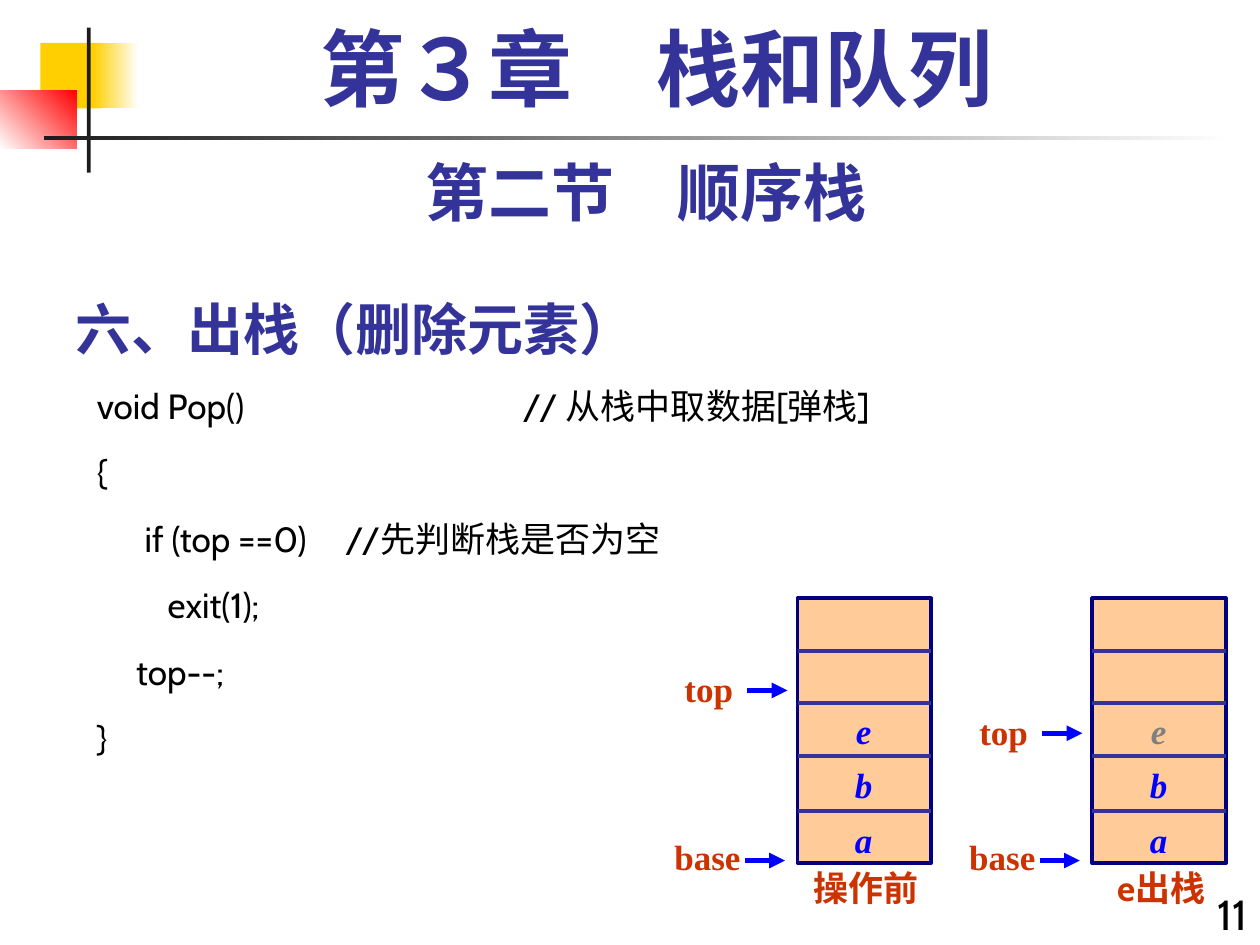
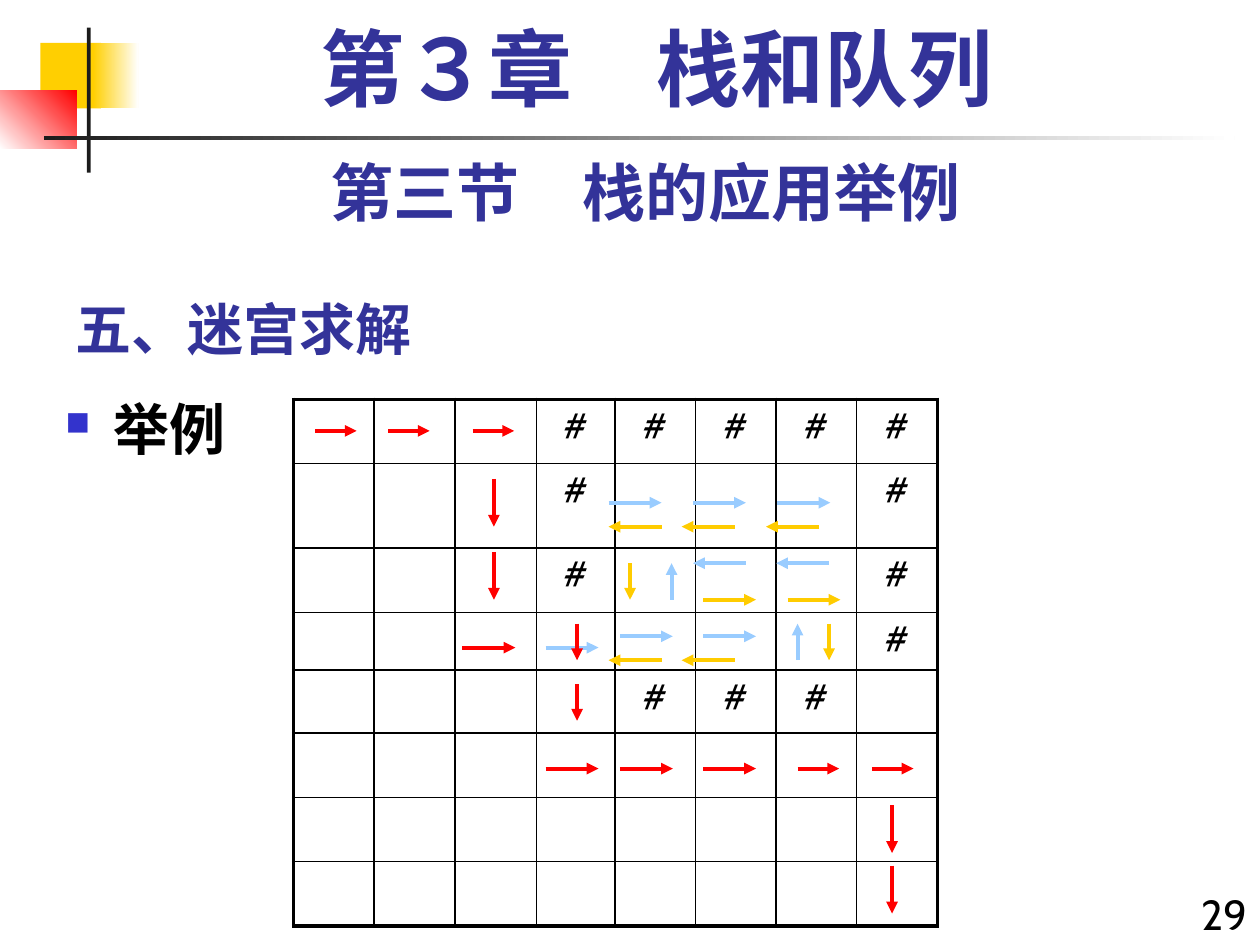
from itertools import accumulate
from lxml import etree
from pptx import Presentation, util as u
from pptx.dml.color import RGBColor
from pptx.enum import shapes, text
from pptx.oxml.ns import qn

HUES = {
    "ink": "000000", "blue": "333399", "bright": "0000FF", "navy": "000080",
    "rust": "CC3300", "gray": "808080", "peach": "FFCC99", "red": "FF0000",
    "sky": "99CCFF", "gold": "FFCC00", "sun": "FFCF01", "dark": "1C1C1C",
    "white": "FFFFFF", "mark": "3333CC",
}
HAN, CABIN, TIMES = "Noto Sans CJK SC", "Cabin", "Times New Roman"
LOOKS = {
    "chapter": ("blue", {"size": u.Pt(48), "name": TIMES, "bold": True}),
    "section": ("blue", {"size": u.Pt(36), "name": CABIN, "bold": True}),
    "head": ("blue", {"size": u.Pt(32), "name": HAN, "bold": True}),
    "point": ("ink", {"size": u.Pt(32), "name": HAN, "bold": True}),
    "page": ("ink", {"size": u.Pt(24), "name": CABIN}),
    "code": ("ink", {"size": u.Pt(20), "name": CABIN}),
    "label": ("rust", {"size": u.Pt(20), "name": TIMES, "bold": True}),
    "state": ("rust", {"size": u.Pt(20), "name": CABIN, "bold": True}),
    "item": ("bright", {"size": u.Pt(20), "name": TIMES, "bold": True, "italic": True}),
}
CENTER, RIGHT = text.PP_ALIGN.CENTER, text.PP_ALIGN.RIGHT

CHAPTER = "第３章\u3000栈和队列"
BANDS = [
    ((0.32, 0.34, 0.48, 0.52), ["sun"], 0),
    ((0.74, 0.34, 0.36, 0.52), ["sun", "white"], 0),
    ((0, 0.72, 0.61, 0.46), ["white", "red"], 45),
    ((0.69, 0.22, 0.03, 1.15), ["dark"], 0),
    ((0.35, 1.08, 9.45, 0.03), ["dark", "white"], 0),
]
CODE = [
    ("void Pop()\t// 从栈中取数据[弹栈]", [3.38]),
    ("{", []),
    ("\tif (top ==0)\t//先判断栈是否为空", [0.38, 1.97]),
    ("         exit(1);", []),
    ("     top--;", []),
    ("}", []),
]
STACKS = [
    (6.33, 5.48, "操作前", "bright"),
    (8.67, 5.82, "e出栈", "gray"),
]
ITEMS = ["e", "b", "a"]
SHELVES = [5.17, 5.58, 6, 6.44]

MAZE = [
    "...#####",
    "...#...#",
    "...#...#",
    ".......#",
    "....###.",
    "........",
    "........",
    "........",
]
WIDTHS = [0.64, 0.64, 0.65, 0.62, 0.64, 0.64, 0.64, 0.64]
HEIGHTS = [0.51, 0.67, 0.51, 0.46, 0.5, 0.51, 0.51, 0.51]
MOVES = [
    ("sky", 0.42, 0, [(4.33, 5.14), (4.92, 5.05), (5.58, 5.05),
                      (4.83, 3.99), (5.5, 3.99), (6.17, 3.99)]),
    ("sky", -0.42, 0, [(6.58, 4.47), (5.92, 4.47)]),
    ("sky", 0, -0.29, [(6.33, 5.24), (5.33, 4.76)]),
    ("gold", -0.42, 0, [(6.5, 4.18), (5.83, 4.18), (5.25, 4.18),
                        (5.83, 5.24), (5.25, 5.24)]),
    ("gold", 0, 0.29, [(5, 4.47), (6.58, 4.95)]),
    ("gold", 0.42, 0, [(5.58, 4.76), (6.25, 4.76)]),
    ("red", 0.33, 0, [(2.5, 3.42), (3.08, 3.42), (3.75, 3.42),
                      (6.33, 6.1), (6.92, 6.1)]),
    ("red", 0.42, 0, [(3.67, 5.14), (4.33, 6.1), (4.92, 6.1), (5.58, 6.1)]),
    ("red", 0, 0.38, [(3.92, 3.8), (3.92, 4.38), (7.08, 6.39), (7.08, 6.87)]),
    ("red", 0, 0.29, [(4.58, 4.95), (4.58, 5.43)]),
]


def hue(name):
    return RGBColor.from_string(HUES[name])


def inch(values):
    return [u.Inches(v) for v in values]


def sub(node, tag, **attrs):
    return etree.SubElement(node, qn(tag), attrs)


def style(run, look, color=None):
    base, form = LOOKS[look]
    run.font.color.rgb = hue(color or base)
    for key, value in form.items():
        setattr(run.font, key, value)
    sub(run._r.get_or_add_rPr(), "a:ea", typeface=HAN)


def write(slide, box, lines, look, first=None, wrap=True, anchor=None, **form):
    frame = slide.shapes.add_textbox(*inch(box)).text_frame
    frame.word_wrap = wrap
    if anchor:
        frame.vertical_anchor = anchor
    for n, line in enumerate(lines):
        para = frame.paragraphs[0] if n == 0 else frame.add_paragraph()
        for key, value in form.items():
            if n or key != "space_before":
                setattr(para, key, value)
        run = para.add_run()
        run.text = line
        style(run, look, first if n == 0 else None)
    return frame


def rect(slide, box, fills, angle=0, edge=None):
    shape = slide.shapes.add_shape(shapes.MSO_SHAPE.RECTANGLE, *inch(box))
    shape.shadow.inherit = False
    if len(fills) > 1:
        shape.fill.gradient()
        shape.fill.gradient_angle = angle
        for stop, name in zip(shape.fill.gradient_stops, fills):
            stop.color.rgb = hue(name)
    else:
        shape.fill.solid()
        shape.fill.fore_color.rgb = hue(fills[0])
    if edge:
        shape.line.color.rgb = hue(edge)
        shape.line.width = u.Pt(2.25)
    else:
        shape.line.fill.background()


def draw(slide, ends, color, width=2.25, arrow=True):
    line = slide.shapes.add_connector(shapes.MSO_CONNECTOR.STRAIGHT, *inch(ends))
    line.line.color.rgb = hue(color)
    line.line.width = u.Pt(width)
    if arrow:
        sub(line.line._get_or_add_ln(), "a:tailEnd", type="triangle")
    sub(line._element.spPr, "a:effectLst")


def start(deck, section, head, page):
    slide = deck.slides.add_slide(deck.slide_layouts[6])
    for box, fills, angle in BANDS:
        rect(slide, box, fills, angle)
    write(slide, (0.67, 0.17, 9.08, 0.83), [CHAPTER], "chapter",
          alignment=CENTER, line_spacing=0.9)
    write(slide, (0.5, 1.17, 9.25, 0.7), [section], "section", alignment=CENTER)
    write(slide, (0.5, 2.17, 6.25, 0.75), [head], "head",
          anchor=text.MSO_ANCHOR.BOTTOM)
    write(slide, (9.33, 7, 0.67, 0.5), [page], "page", alignment=RIGHT)
    return slide


def stack(slide, left, top, state, first):
    for name, y, shift, drop in [("top", top, 0, 0.23), ("base", 6.83, -0.02, 0.25)]:
        wide = 0.59 if name == "top" else 0.73
        near = left - (1 if name == "top" else 1.08)
        draw(slide, (left - 0.4 + shift, y, left - 0.08 + shift, y), "bright", 3)
        write(slide, (near, y - drop, wide, 0.43), [name], "label",
              wrap=False, alignment=CENTER)
    rect(slide, (left, 4.75, 1.06, 2.1), ["peach"], edge="navy")
    for y in SHELVES:
        draw(slide, (left, y, left + 1.06, y), "blue", arrow=False)
    frame = write(slide, (left + 0.25, 5.53, 0.55, 1.36), ITEMS, "item", first,
                  alignment=CENTER, line_spacing=1.3)
    frame.margin_top = 0
    write(slide, (left - 0.08, 6.83, 1.25, 0.43), [state], "state", alignment=CENTER)


def border(cell, row, col):
    last = len(MAZE) - 1
    outer = {"L": col == 0, "R": col == last, "T": row == 0, "B": row == last}
    for side, thick in outer.items():
        line = sub(cell._tc.get_or_add_tcPr(), "a:ln" + side,
                   w=str(u.Pt(2.25 if thick else 1)))
        sub(sub(line, "a:solidFill"), "a:srgbClr", val=HUES["ink"])


def maze(slide):
    size = len(MAZE)
    box = (2.33, 3.17, sum(WIDTHS), sum(HEIGHTS))
    grid = slide.shapes.add_table(size, size, *inch(box)).table
    grid.first_row = grid.horz_banding = False
    for part, sizes, key in [(grid.columns, WIDTHS, "width"), (grid.rows, HEIGHTS, "height")]:
        for item, value in zip(part, sizes):
            setattr(item, key, u.Inches(value))
    edges = {"margin_left": 0, "margin_right": 0,
             "margin_top": u.Inches(0.04), "margin_bottom": 0}
    for row, marks in enumerate(MAZE):
        for col, mark in enumerate(marks):
            cell = grid.cell(row, col)
            for key, value in edges.items():
                setattr(cell, key, value)
            border(cell, row, col)
            cell.fill.background()
            if mark == "#":
                para = cell.text_frame.paragraphs[0]
                para.alignment = CENTER
                run = para.add_run()
                run.text = mark
                style(run, "code")


def pop(deck):
    slide = start(deck, "第二节\u3000顺序栈", "六、出栈（删除元素）", "11")
    frame = write(slide, (0.67, 3, 9.04, 4.25), [line for line, _ in CODE], "code",
                  space_before=u.Pt(14))
    for para, (_, stops) in zip(frame.paragraphs, CODE):
        if stops:
            tabs = sub(para._p.get_or_add_pPr(), "a:tabLst")
            for stop in stops:
                sub(tabs, "a:tab", pos=str(u.Inches(stop)), algn="l")
    for item in STACKS:
        stack(slide, *item)


def solve(deck):
    slide = start(deck, "第三节\u3000栈的应用举例", "五、迷宫求解", "29")
    frame = write(slide, (0.42, 3.08, 1.85, 0.8), ["举例"], "point")
    props = frame.paragraphs[0]._p.get_or_add_pPr()
    props.set("marL", str(u.Inches(0.38)))
    props.set("indent", str(-u.Inches(0.38)))
    sub(sub(props, "a:buClr"), "a:srgbClr", val=HUES["mark"])
    sub(props, "a:buSzPct", val="60000")
    sub(props, "a:buChar", char="■")
    maze(slide)
    for color, dx, dy, spots in MOVES:
        for x, y in spots:
            draw(slide, (x, y, x + dx, y + dy), color)


def main():
    deck = Presentation()
    deck.slide_width, deck.slide_height = inch((10, 7.5))
    pop(deck)
    solve(deck)
    deck.save("out.pptx")


if __name__ == "__main__":
    main()
